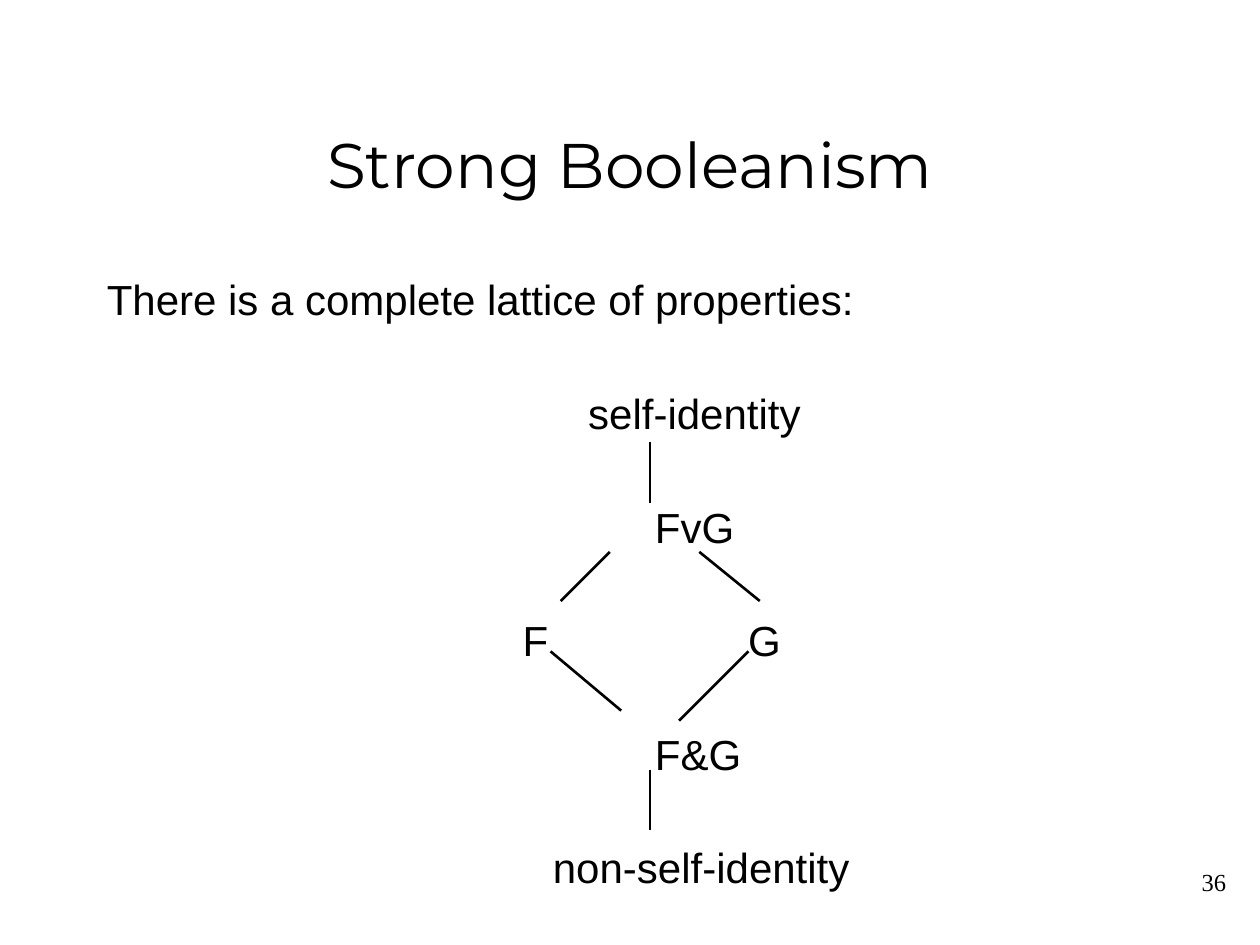
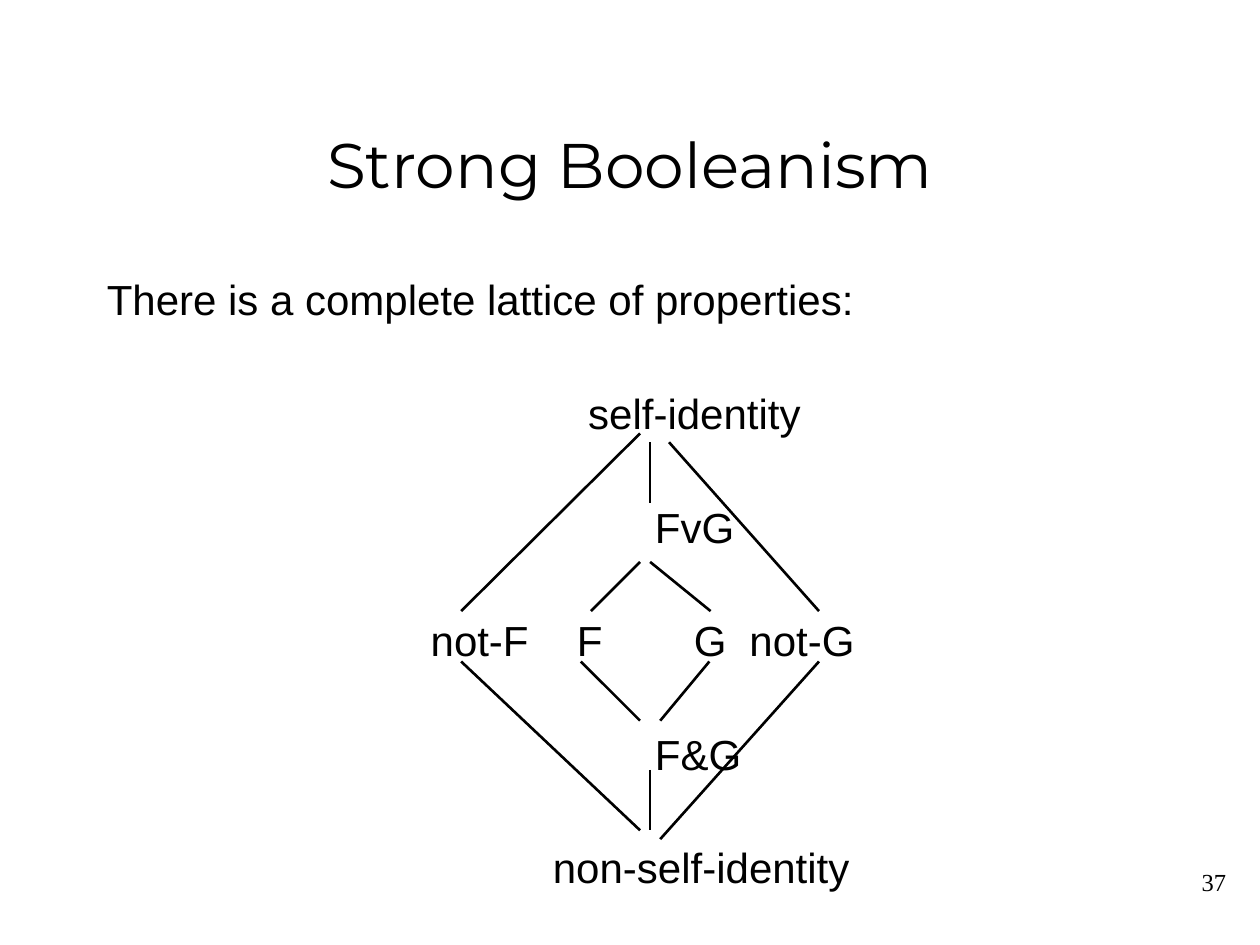
from lxml import etree
from pptx import Presentation
from pptx.dml.color import RGBColor
from pptx.enum.shapes import MSO_CONNECTOR
from pptx.enum.text import MSO_ANCHOR, PP_ALIGN
from pptx.oxml.ns import qn
from pptx.util import Inches, Pt

STRAIGHT = MSO_CONNECTOR.STRAIGHT
TOP, MIDDLE = MSO_ANCHOR.TOP, MSO_ANCHOR.MIDDLE
LEFT, CENTER, RIGHT = PP_ALIGN.LEFT, PP_ALIGN.CENTER, PP_ALIGN.RIGHT

INK, PAPER = "000000", "FFFFFF"
TITLE_BOX = (0.75, 0.67, 8.5, 1.25)
BODY_BOX = (0.75, 2.17, 8.5, 5.05)
NUMBER_BOX = (7.75, 6.83, 2.08, 0.5)
ROW_GAP = 39  # points between the rows of the lattice

TITLE = "Strong Booleanism"
INTRO = "There is a complete lattice of properties:"

# Rows hold (label, tab stop); edges hold x1, y1, x2, y2 within the body box
TOP_ROWS = [[("self-identity", 3.82)], [("FvG", 4.35)]]
BOTTOM_ROWS = [[("F&G", 4.35)], [("non-self-identity", 3.54)]]
AXIS_EDGES = [(4.41, 1.34, 4.41, 1.82), (4.41, 3.94, 4.41, 4.42)]

SIMPLE_ROW = [("F", 3.3), ("G", 5.09)]
SIMPLE_EDGES = [
    (4.09, 2.21, 3.7, 2.6), (3.62, 3.0, 4.18, 3.47),
    (4.8, 2.21, 5.28, 2.6), (5.19, 3.0, 4.64, 3.55),
]
NEGATED_ROW = [("not-F", 2.57), ("F", 3.73), ("G", 4.66), ("not-G", 5.1)]
NEGATED_EDGES = [
    # inner diamond
    (4.33, 2.29, 3.94, 2.68), (3.86, 3.08, 4.33, 3.55),
    (4.41, 2.29, 4.89, 2.68), (4.88, 3.08, 4.49, 3.55),
    # outer diamond
    (4.33, 1.27, 2.91, 2.68), (2.91, 3.08, 4.33, 4.42),
    (5.75, 3.08, 4.49, 4.49), (4.56, 1.34, 5.75, 2.68),
]


def color(hex_text):
    return RGBColor.from_string(hex_text)


def set_font(p, name, size):
    p.font.name = name
    p.font.size = Pt(size)
    p.font.color.rgb = color(INK)


def add_frame(s, box, anchor=TOP):
    tf = s.shapes.add_textbox(*map(Inches, box)).text_frame
    tf.word_wrap = True
    tf.vertical_anchor = anchor
    return tf


def add_line_of_text(s, box, text, font, size, align, anchor=TOP):
    p = add_frame(s, box, anchor).paragraphs[0]
    p.text = text
    p.alignment = align
    set_font(p, font, size)


def add_tabs(p, stops):
    tabs = etree.SubElement(p._p.get_or_add_pPr(), qn("a:tabLst"))
    for stop in stops:
        etree.SubElement(tabs, qn("a:tab"), pos=str(Inches(stop)), algn="l")


def add_lattice_text(s, box, rows):
    tf = add_frame(s, box)
    p = tf.paragraphs[0]
    p.text = INTRO
    for row in rows:
        p = tf.add_paragraph()
        p.text = "".join("\t" + label for label, _ in row)
        p.space_before = Pt(ROW_GAP)
        add_tabs(p, [stop for _, stop in row])
    for p in tf.paragraphs:
        p.alignment = LEFT
        p.line_spacing = 0.9
        set_font(p, "Arial", 24)


def add_lattice_edges(s, box, edges):
    x, y = box[:2]
    for x1, y1, x2, y2 in edges:
        ends = (x + x1, y + y1, x + x2, y + y2)
        line = s.shapes.add_connector(STRAIGHT, *map(Inches, ends))
        line.line.color.rgb = color(INK)
        line.line.width = Pt(1.5)
        etree.SubElement(line._element.spPr, qn("a:effectLst"))


def add_lattice_slide(prs, number, middle_row, edges):
    s = prs.slides.add_slide(prs.slide_layouts[6])
    s.background.fill.solid()
    s.background.fill.fore_color.rgb = color(PAPER)
    add_line_of_text(s, TITLE_BOX, TITLE, "Montserrat", 36, CENTER, MIDDLE)
    add_lattice_text(s, BODY_BOX, TOP_ROWS + [middle_row] + BOTTOM_ROWS)
    add_lattice_edges(s, BODY_BOX, AXIS_EDGES + edges)
    add_line_of_text(s, NUMBER_BOX, str(number), "Times New Roman", 14, RIGHT)


def main():
    prs = Presentation()
    prs.slide_width, prs.slide_height = Inches(10), Inches(7.5)
    add_lattice_slide(prs, 36, SIMPLE_ROW, SIMPLE_EDGES)
    add_lattice_slide(prs, 37, NEGATED_ROW, NEGATED_EDGES)
    prs.save("out.pptx")


if __name__ == "__main__":
    main()
